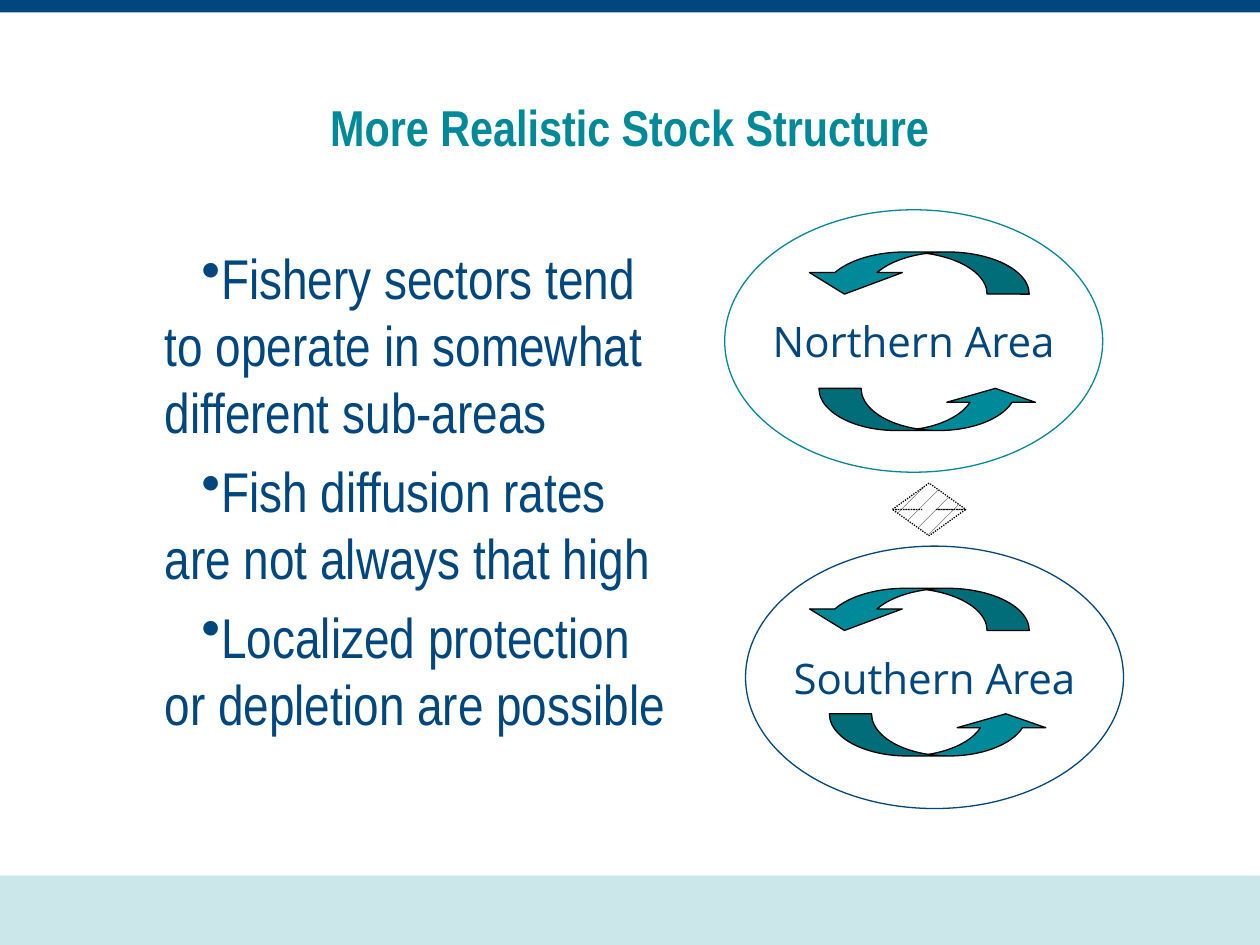
import lxml.etree
import pptx
import pptx.dml.color
import pptx.enum.dml
import pptx.enum.shapes
import pptx.enum.text
import pptx.oxml.ns
import pptx.util

Cm, Pt = pptx.util.Cm, pptx.util.Pt
RGB = pptx.dml.color.RGBColor.from_string
SHAPE = pptx.enum.shapes.MSO_SHAPE
ALIGN = pptx.enum.text.PP_ALIGN
ANCHOR = pptx.enum.text.MSO_ANCHOR

THEME = {
    "navy": RGB("00467F"), "teal": RGB("008998"), "pale": RGB("CCE7EA"),
    "white": RGB("FFFFFF"), "black": RGB("000000"),
    "title": {"name": "Arial Narrow", "size": Pt(28.8), "bold": True},
    "body": {"name": "Arial Narrow", "size": Pt(32)},
    "label": {"name": "Open Sans", "size": Pt(24)},
}


def add_shape(kind, box, fill, line=None, adjustments=()):
    """Add a flat shape; box is left, top, width, height in centimetres."""
    shape = slide.shapes.add_shape(kind, *map(Cm, box))
    shape.shadow.inherit = False
    shape.fill.solid()
    shape.fill.fore_color.rgb = THEME[fill]
    if line:
        shape.line.color.rgb = THEME[line]
        shape.line.width = Pt(0.75)
    else:
        shape.line.fill.background()
    for index, value in enumerate(adjustments):
        shape.adjustments[index] = value
    return shape


def write_text(shape, lines, style, color, frame_format, paragraph_format):
    """Fill a text frame with one styled paragraph per line."""
    frame = shape.text_frame
    for name, value in frame_format.items():
        setattr(frame, name, value)
    frame.text = "\n".join(lines)
    for paragraph in frame.paragraphs:
        for name, value in paragraph_format.items():
            setattr(paragraph, name, value)
        for name, value in THEME[style].items():
            setattr(paragraph.runs[0].font, name, value)
        paragraph.runs[0].font.color.rgb = THEME[color]
    return frame


presentation = pptx.Presentation()
presentation.slide_width, presentation.slide_height = Cm(25.4), Cm(19.05)
slide = presentation.slides.add_slide(presentation.slide_layouts[6])

# Bands at the bottom and top edges
add_shape(SHAPE.RECTANGLE, (0, 17.65, 25.4, 1.4), "pale")
add_shape(SHAPE.RECTANGLE, (0, 0, 25.4, 0.25), "navy")

# Title
margins = {f"margin_{side}": Cm(0.25) for side in ("left", "top", "right", "bottom")}
title = slide.shapes.add_textbox(Cm(0), Cm(1.7), Cm(25.4), Cm(1.7))
write_text(title, ["More Realistic Stock Structure"], "title", "teal",
           {"word_wrap": True, "vertical_anchor": ANCHOR.MIDDLE, **margins},
           {"alignment": ALIGN.CENTER})

# Bulleted points, with the first line indented further than the rest
body = slide.shapes.add_textbox(Cm(2.12), Cm(4.66), Cm(11.64), Cm(12.7))
points = [
    "Fishery sectors tend to operate in somewhat different sub-areas",
    "Fish diffusion rates are not always that high",
    "Localized protection or depletion are possible",
]
frame = write_text(body, points, "body", "navy", {"word_wrap": True, **margins},
                   {"alignment": ALIGN.LEFT, "space_before": Pt(6.4)})
for paragraph in frame.paragraphs:
    properties = paragraph._p.get_or_add_pPr()
    properties.set("marL", str(Cm(0.95)))
    properties.set("indent", str(Cm(0.74)))
    bullet = lxml.etree.SubElement(properties, pptx.oxml.ns.qn("a:buChar"))
    bullet.set("char", "•")

# Stock areas, each with a pair of arrows circling its name
areas = [
    # name, outline, ellipse left and top, lower arrow left and top
    ("Northern Area", "teal", 14.61, 4.23, 16.51, 7.83),
    ("Southern Area", "navy", 15.03, 11.01, 16.72, 14.39),
]
for name, outline, left, top, lower_left, lower_top in areas:
    ellipse = add_shape(SHAPE.OVAL, (left, top, 7.62, 5.29), "white", outline)
    write_text(ellipse, [name], "label", "navy",
               {"word_wrap": False, "vertical_anchor": ANCHOR.MIDDLE},
               {"alignment": ALIGN.CENTER})
    add_shape(SHAPE.CURVED_UP_ARROW, (lower_left, lower_top, 4.45, 0.85),
              "teal", "black", (1.05, 2.1, 0.33))
    upper = add_shape(SHAPE.CURVED_DOWN_ARROW, (16.09, top + 0.85, 4.66, 0.85),
                      "teal", "black", (1.1, 2.2, 0.51))
    upper._element.spPr.get_or_add_xfrm().set("flipH", "1")

# Limited exchange between the areas
exchange = add_shape(SHAPE.UP_DOWN_ARROW, (17.99, 9.74, 1.48, 1.06),
                     "white", "black", (0.5, 0.2))
exchange.fill.patterned()
exchange.fill.pattern = pptx.enum.dml.MSO_PATTERN.PERCENT_5
exchange.fill.fore_color.rgb = THEME["black"]
exchange.fill.back_color.rgb = THEME["white"]
exchange.line.dash_style = pptx.enum.dml.MSO_LINE.ROUND_DOT

presentation.save("out.pptx")
